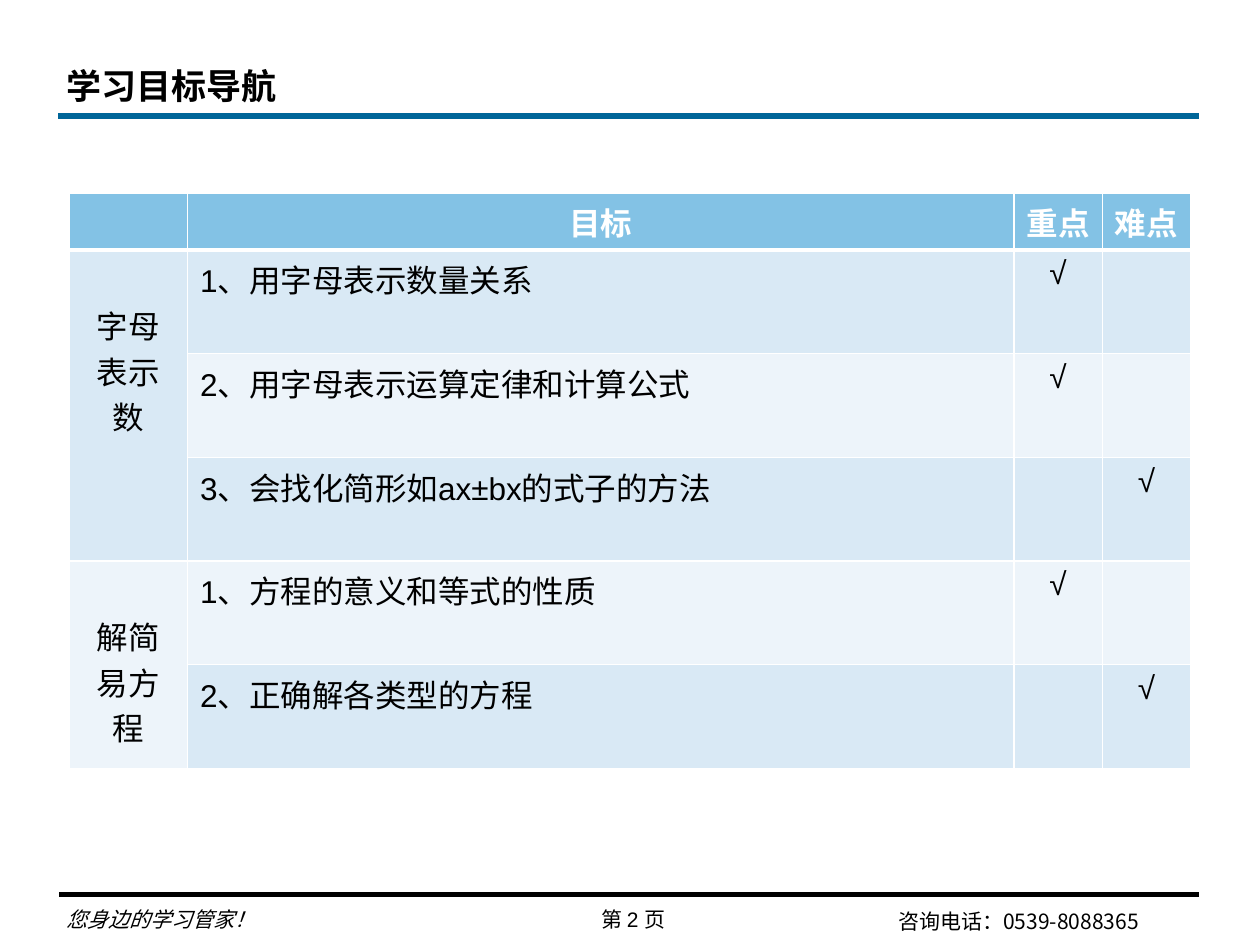
from dataclasses import dataclass

from lxml import etree
from pptx import Presentation
from pptx.dml.color import RGBColor
from pptx.enum.shapes import MSO_CONNECTOR
from pptx.enum.text import MSO_ANCHOR, MSO_AUTO_SIZE, PP_ALIGN
from pptx.oxml.ns import qn
from pptx.util import Cm, Pt

LEFT, CENTER = PP_ALIGN.LEFT, PP_ALIGN.CENTER
TOP, BOTTOM = MSO_ANCHOR.TOP, MSO_ANCHOR.BOTTOM
STRAIGHT = MSO_CONNECTOR.STRAIGHT
FIXED = MSO_AUTO_SIZE.NONE

BLACK = RGBColor(0x00, 0x00, 0x00)
WHITE = RGBColor(0xFF, 0xFF, 0xFF)
TEAL = RGBColor(0x00, 0x66, 0x99)
HEAD = RGBColor(0x83, 0xC2, 0xE5)
BANDS = (RGBColor(0xED, 0xF4, 0xFA), RGBColor(0xD9, 0xE9, 0xF5))

HAN, LATIN = "Noto Sans CJK SC", "Arial"
TITLE_FONT = {"name": HAN, "size": Pt(20), "bold": True}
FOOT_FONT = {"name": HAN, "size": Pt(12)}
CELL_FONT = {"name": LATIN, "size": Pt(18), "bold": False}


@dataclass
class Note:
    text: str
    box: tuple
    font: dict
    align: PP_ALIGN = LEFT
    anchor: MSO_ANCHOR = BOTTOM


@dataclass
class Rule:
    left: float
    top: float
    color: RGBColor


@dataclass
class Goal:
    text: str
    key: bool
    label: str = ""
    span: int = 1


NOTES = [
    Note("第 2 页", (11.28, 18.16, 2.97, 0.76), FOOT_FONT | {"name": LATIN}, CENTER, TOP),
    Note("您身边的学习管家！", (1.09, 18.01, 6.1, 0.89), FOOT_FONT | {"italic": True}),
    Note("咨询电话：0539-8088365", (17.86, 18.06, 6.1, 0.89), FOOT_FONT),
]
RULES = [Rule(1.17, 2.34, TEAL), Rule(1.19, 18.03, BLACK)]
RIGHT = 24.18

HEADS = ("", "目标", "重点", "难点")
GOALS = [
    Goal("1、用字母表示数量关系", True, "字母表示数", 3),
    Goal("2、用字母表示运算定律和计算公式", True),
    Goal("3、会找化简形如ax±bx的式子的方法", False),
    Goal("1、方程的意义和等式的性质", True, "解简易方程", 2),
    Goal("2、正确解各类型的方程", False),
]
WIDTHS = (2.38, 16.66, 1.78, 1.78)
HEAD_ROW, GOAL_ROW = 1.15, 2.09
LABEL_TOP = Cm(1.05)


def write(frame, text: str, font: dict, color: RGBColor, align: PP_ALIGN) -> None:
    para = frame.paragraphs[0]
    para.alignment = align
    run = para.add_run()
    run.text = text
    for key, value in font.items():
        setattr(run.font, key, value)
    run.font.color.rgb = color
    # East Asian face follows the Latin one
    face = etree.Element(qn("a:ea"), typeface=HAN)
    run.font._element.find(qn("a:latin")).addnext(face)


def add_note(slide, note: Note) -> None:
    frame = slide.shapes.add_textbox(*map(Cm, note.box)).text_frame
    frame.word_wrap = True
    frame.vertical_anchor = note.anchor
    write(frame, note.text, note.font, BLACK, note.align)


def add_rule(slide, rule: Rule) -> None:
    top = Cm(rule.top)
    line = slide.shapes.add_connector(STRAIGHT, Cm(rule.left), top, Cm(RIGHT), top)
    line.line.color.rgb = rule.color
    line.line.width = Pt(3)
    etree.SubElement(line._element.spPr, qn("a:effectLst"))


def set_title(slide) -> None:
    title = slide.shapes.title
    title.left, title.top, title.width, title.height = map(Cm, (1.09, 0.64, 20.17, 1.63))
    frame = title.text_frame
    frame.auto_size = FIXED
    frame.vertical_anchor = BOTTOM
    write(frame, "学习目标导航", TITLE_FONT, BLACK, LEFT)


def edge_cell(cell, top: float, base: float) -> None:
    props = cell._tc.get_or_add_tcPr()
    sides = {"L": 1, "R": 1, "T": top, "B": base}
    for spot, (side, width) in enumerate(sides.items()):
        line = etree.Element(qn(f"a:ln{side}"), w=str(Pt(width)))
        fill = etree.SubElement(line, qn("a:solidFill"))
        etree.SubElement(fill, qn("a:srgbClr"), val=str(WHITE))
        props.insert(spot, line)


def add_goals(slide) -> None:
    count = len(GOALS) + 1
    tall = HEAD_ROW + GOAL_ROW * len(GOALS)
    table = slide.shapes.add_table(
        count, len(WIDTHS), Cm(1.4), Cm(3.89), Cm(sum(WIDTHS)), Cm(tall)).table
    for col, width in zip(table.columns, WIDTHS):
        col.width = Cm(width)

    # Fills and borders
    for num, row in enumerate(table.rows):
        row.height = Cm(GOAL_ROW if num else HEAD_ROW)
        for cell in row.cells:
            cell.fill.solid()
            cell.fill.fore_color.rgb = BANDS[num % 2] if num else HEAD
            edge_cell(cell, 3 if num == 1 else 1, 1 if num else 3)

    # Header row
    for col, text in enumerate(HEADS):
        if text:
            write(table.cell(0, col).text_frame, text,
                  CELL_FONT | {"bold": True}, WHITE, CENTER)

    # Goals, ticks and group labels
    for num, goal in enumerate(GOALS, 1):
        write(table.cell(num, 1).text_frame, goal.text, CELL_FONT, BLACK, LEFT)
        tick = table.cell(num, 2 if goal.key else 3)
        write(tick.text_frame, "√", CELL_FONT, BLACK, CENTER)
        if goal.label:
            cell = table.cell(num, 0)
            cell.merge(table.cell(num + goal.span - 1, 0))
            cell.margin_top = LABEL_TOP
            write(cell.text_frame, goal.label, CELL_FONT, BLACK, CENTER)


def main() -> None:
    deck = Presentation()
    deck.slide_width, deck.slide_height = Cm(25.4), Cm(19.05)
    slide = deck.slides.add_slide(deck.slide_layouts[5])
    for note in NOTES:
        add_note(slide, note)
    for rule in RULES:
        add_rule(slide, rule)
    set_title(slide)
    add_goals(slide)
    deck.save("out.pptx")


if __name__ == "__main__":
    main()
